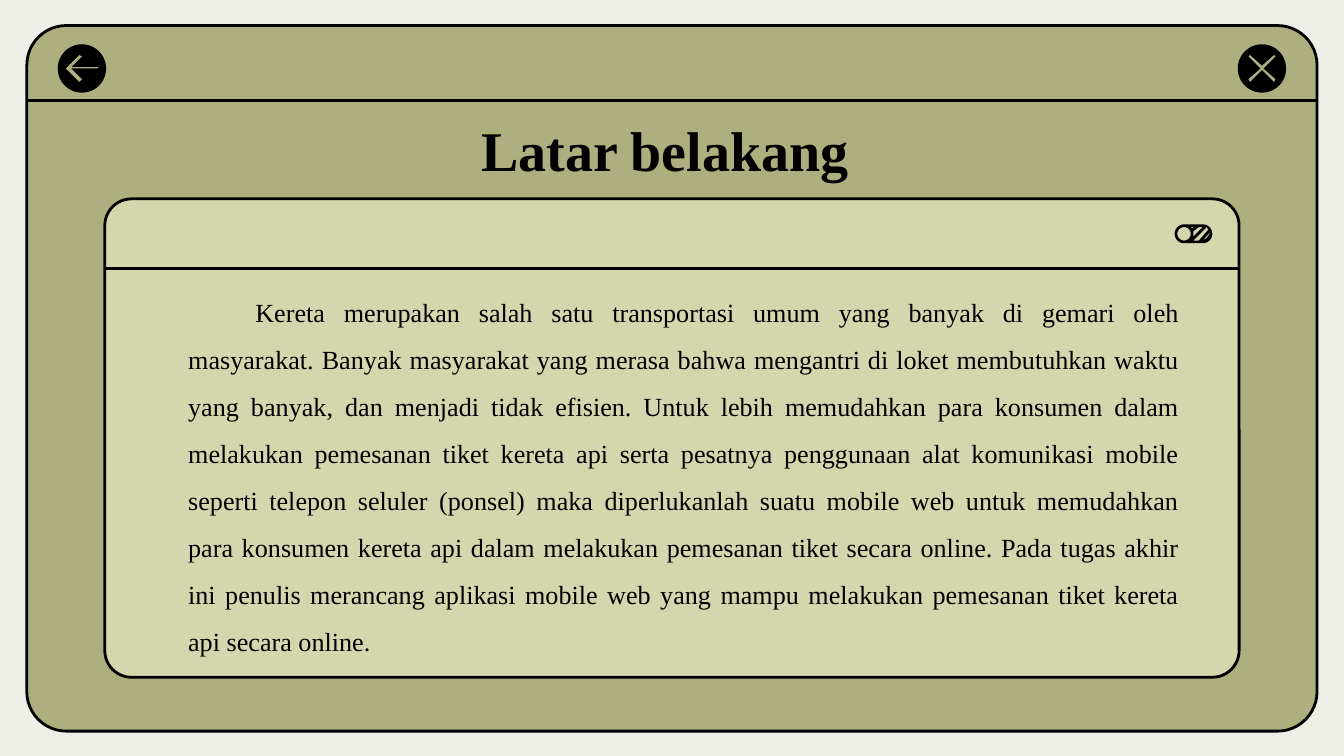
"""Build the "Latar belakang" slide as a browser-style window with a text panel."""
from dataclasses import dataclass
from math import cos, radians, sin

from lxml import etree
from pptx import Presentation
from pptx.dml.color import RGBColor
from pptx.enum import shapes, text
from pptx.oxml.ns import qn
from pptx.util import Inches, Pt

COLORS = {"page": "EEEEE9", "window": "ADAF7E", "panel": "D4D7AD", "ink": "000000"}
FONT = "Times New Roman"
TITLE = "Latar belakang "
BODY = (
    "Kereta merupakan salah satu transportasi umum yang banyak di gemari oleh "
    "masyarakat. Banyak masyarakat yang merasa bahwa mengantri di loket membutuhkan "
    "waktu yang banyak, dan menjadi tidak efisien. Untuk lebih memudahkan para konsumen "
    "dalam melakukan pemesanan tiket kereta api serta pesatnya penggunaan alat komunikasi "
    "mobile seperti telepon seluler (ponsel) maka diperlukanlah suatu mobile web untuk "
    "memudahkan para konsumen kereta api dalam melakukan pemesanan tiket secara online. "
    "Pada tugas akhir ini penulis merancang aplikasi mobile web yang mampu melakukan "
    "pemesanan tiket kereta api secara online."
)
Contour = list[tuple[float, float]]


@dataclass
class Frame:
    left: float
    top: float
    width: float
    height: float
    fill: str
    bar_y: float


@dataclass
class Button:
    left: float
    icon: Contour


FRAMES = [
    Frame(0.2, 0.19, 9.6, 5.25, "window", 0.75),
    Frame(0.78, 1.48, 8.44, 3.56, "panel", 2),
]
BUTTONS = [
    Button(9.21, [(9.3, 0.41), (9.29, 0.42), (9.38, 0.51), (9.29, 0.59), (9.3, 0.61),
                  (9.39, 0.52), (9.48, 0.61), (9.49, 0.59), (9.4, 0.51), (9.49, 0.42),
                  (9.48, 0.41), (9.39, 0.49)]),
    Button(0.43, [(0.59, 0.41), (0.49, 0.51), (0.59, 0.61), (0.61, 0.59), (0.53, 0.51),
                  (0.73, 0.51), (0.73, 0.5), (0.53, 0.5), (0.61, 0.42)]),
]
TOGGLE_STRIPES = [
    [(8.89, 1.69), (8.87, 1.7), (8.86, 1.69)],
    [(8.95, 1.69), (8.88, 1.76), (8.88, 1.72), (8.92, 1.69)],
    [(8.98, 1.69), (8.99, 1.71), (8.92, 1.79), (8.88, 1.79)],
    [(9, 1.73), (9, 1.74), (8.98, 1.77), (8.95, 1.79)],
]


def color(name: str) -> RGBColor:
    return RGBColor.from_string(COLORS[name])


def paint(shape, fill: str, outlined: bool = False) -> None:
    shape.shadow.inherit = False
    shape.fill.solid()
    shape.fill.fore_color.rgb = color(fill)
    if outlined:
        shape.line.color.rgb = color("ink")
        shape.line.width = Pt(1.5)
    else:
        shape.line.fill.background()


def draw_frame(page, frame: Frame) -> None:
    box = page.shapes.add_shape(
        shapes.MSO_SHAPE.ROUNDED_RECTANGLE, Inches(frame.left), Inches(frame.top),
        Inches(frame.width), Inches(frame.height))
    box.adjustments[0] = 0.056
    paint(box, frame.fill, outlined=True)
    bar = page.shapes.add_connector(
        shapes.MSO_CONNECTOR.STRAIGHT, Inches(frame.left + 0.01), Inches(frame.bar_y),
        Inches(frame.left + frame.width), Inches(frame.bar_y))
    bar.line.color.rgb = color("ink")
    bar.line.width = Pt(1.5)
    etree.SubElement(bar.element.spPr, qn("a:effectLst"))


def draw_outline(page, contours: list[Contour], fill: str) -> None:
    scaled = [[(Inches(x), Inches(y)) for x, y in contour] for contour in contours]
    builder = page.shapes.build_freeform(*scaled[0][0])
    for index, contour in enumerate(scaled):
        if index:
            builder.move_to(*contour[0])
        builder.add_line_segments(contour[1:], close=True)
    paint(builder.convert_to_shape(), fill)


def draw_button(page, button: Button) -> None:
    disc = page.shapes.add_shape(
        shapes.MSO_SHAPE.OVAL, Inches(button.left), Inches(0.33), Inches(0.36), Inches(0.36))
    paint(disc, "ink")
    draw_outline(page, [button.icon], "window")


def arc(center: float, radius: float, start: int, end: int) -> Contour:
    return [(center + radius * cos(radians(angle)), 1.74 + radius * sin(radians(angle)))
            for angle in range(start, end + 1, 10)]


def draw_toggle(page) -> None:
    rim = arc(8.95, 0.07, -90, 90) + arc(8.81, 0.07, 90, 270)
    knob = arc(8.81, 0.05, 0, 350)
    draw_outline(page, [rim, knob, *TOGGLE_STRIPES], "ink")


def fill_placeholder(box, wording: str, place: tuple[float, float, float, float], size: int,
                     align, anchor, spacing: float, bold: bool):
    box.left, box.top, box.width, box.height = map(Inches, place)
    frame = box.text_frame
    frame.text = wording
    frame.word_wrap = True
    frame.auto_size = text.MSO_AUTO_SIZE.NONE
    frame.vertical_anchor = anchor
    frame.margin_left = frame.margin_right = Inches(0.1)
    frame.margin_top = frame.margin_bottom = Inches(0.1)
    para = frame.paragraphs[0]
    para.alignment = align
    para.line_spacing = spacing
    para.space_before = Pt(0)
    span = para.runs[0]
    span.font.name = FONT
    span.font.size = Pt(size)
    span.font.bold = bold
    span.font.color.rgb = color("ink")
    box.element.getparent().append(box.element)
    return para


def main() -> None:
    deck = Presentation()
    deck.slide_width = Inches(10)
    deck.slide_height = deck.slide_width * 9 // 16
    page = deck.slides.add_slide(deck.slide_layouts[1])
    page.background.fill.solid()
    page.background.fill.fore_color.rgb = color("page")
    for frame in FRAMES:
        draw_frame(page, frame)
    fill_placeholder(page.shapes.title, TITLE, (0.78, 0.86, 8.44, 0.62), 30,
                     text.PP_ALIGN.CENTER, text.MSO_ANCHOR.MIDDLE, 0.7, True)
    for button in BUTTONS:
        draw_button(page, button)
    draw_toggle(page)
    para = fill_placeholder(page.placeholders[1], BODY, (0.8, 1.99, 8.08, 1.97), 14,
                            text.PP_ALIGN.JUSTIFY, text.MSO_ANCHOR.TOP, 1.5, False)
    properties = para._p.get_or_add_pPr()
    properties.set("marL", str(Inches(0.5)))
    properties.set("indent", str(Inches(0.5)))
    etree.SubElement(properties, qn("a:buNone"))
    deck.save("out.pptx")


if __name__ == "__main__":
    main()
